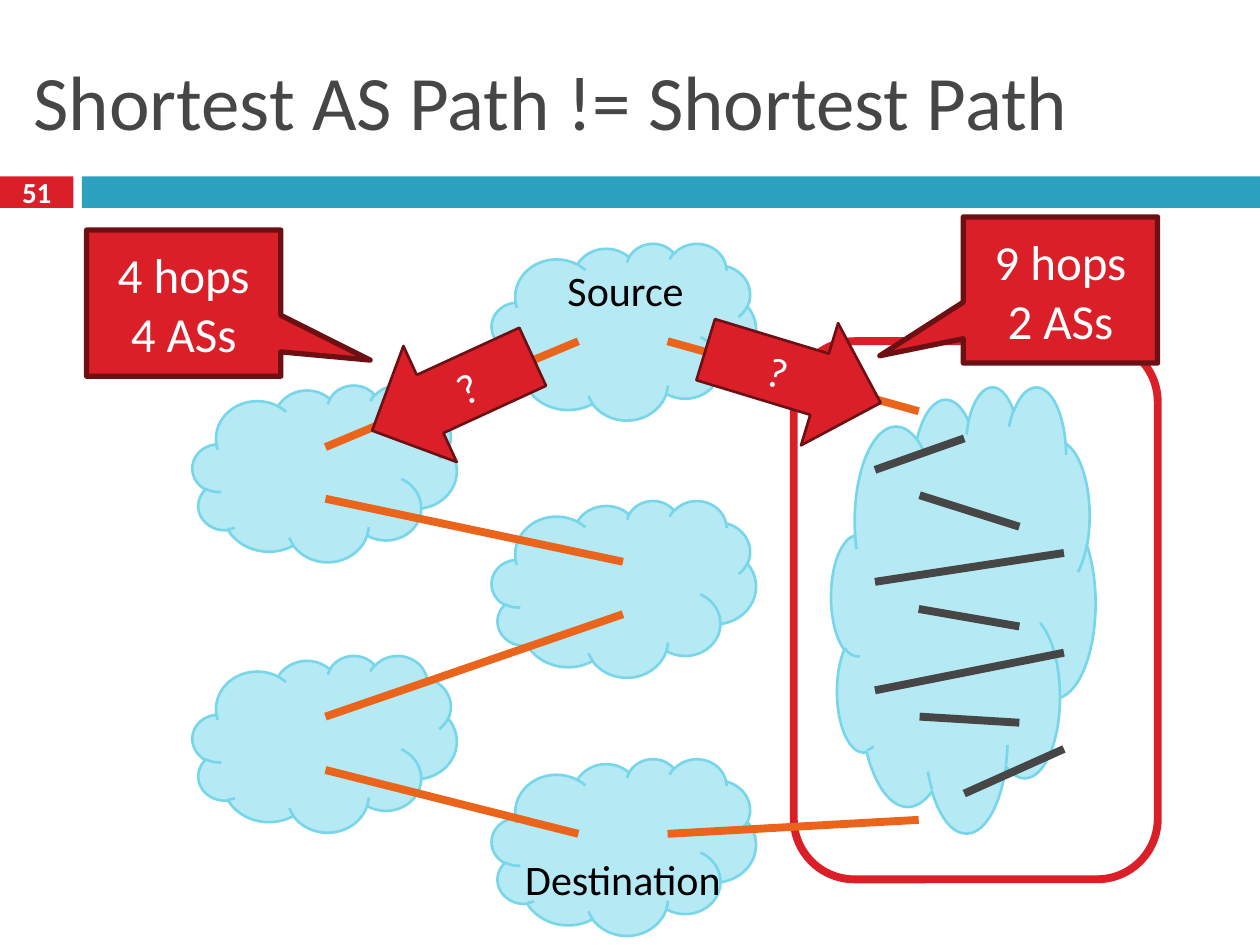
from pptx import Presentation
from pptx.dml.color import RGBColor
from pptx.enum.shapes import MSO_CONNECTOR, MSO_SHAPE
from pptx.enum.text import MSO_ANCHOR, PP_ALIGN
from pptx.oxml.ns import qn
from pptx.util import Pt

RED = RGBColor(0xDA, 0x1F, 0x28)
MAROON = RGBColor(0x6D, 0x10, 0x14)
TEAL = RGBColor(0x2D, 0xA2, 0xBF)
SKY = RGBColor(0xB5, 0xE9, 0xF4)
AQUA = RGBColor(0x78, 0xD6, 0xEA)
ORANGE = RGBColor(0xEB, 0x64, 0x1B)
GRAY = RGBColor(0x46, 0x46, 0x46)
BLACK = RGBColor(0, 0, 0)
WHITE = RGBColor(0xFF, 0xFF, 0xFF)

deck = Presentation()
deck.slide_width, deck.slide_height = Pt(720), Pt(540)
slide = deck.slides.add_slide(deck.slide_layouts[6])
shapes = slide.shapes


def write(shape, text, size=24, color=WHITE, bold=False, align=PP_ALIGN.CENTER,
          anchor=MSO_ANCHOR.MIDDLE, wrap=True):
    frame = shape.text_frame
    frame.text = text
    frame.word_wrap = wrap
    frame.vertical_anchor = anchor
    for para in frame.paragraphs:
        para.alignment = align
        para.font.name = "Calibri"
        para.font.size = Pt(size)
        para.font.bold = bold
        para.font.color.rgb = color


def draw(kind, box, fill=None, line=None, width=1.5):
    shape = shapes.add_shape(kind, *map(Pt, box))
    shape.shadow.inherit = False
    if fill is None:
        shape.fill.background()
    else:
        shape.fill.solid()
        shape.fill.fore_color.rgb = fill
    if line is None:
        shape.line.fill.background()
    else:
        shape.line.color.rgb = line
        shape.line.width = Pt(width)
    return shape


badge = draw(MSO_SHAPE.RECTANGLE, (0, 100.8, 42, 18), RED)
frame = badge.text_frame
frame.margin_top = frame.margin_bottom = 0
write(badge, "51", size=16.6, bold=True)
draw(MSO_SHAPE.RECTANGLE, (46.8, 100.8, 673.2, 18), TEAL)
draw(MSO_SHAPE.ROUNDED_RECTANGLE, (453.6, 195, 208, 307.5), line=RED, width=4.5)

title = shapes.add_textbox(Pt(12), Pt(18), Pt(696), Pt(78))
write(title, "Shortest AS Path != Shortest Path", size=44, color=GRAY,
      align=PP_ALIGN.LEFT)

clouds = [(281, 139, 101), (110, 220, 101), (281, 286, 101),
          (110, 374.5, 101), (281, 433.5, 101), (475, 220.5, 255)]
for left, top, height in clouds:
    draw(MSO_SHAPE.CLOUD, (left, top, 151, height), SKY, AQUA)

links = {
    ORANGE: [(186, 255.5, 330.5, 195), (186, 285, 356, 321),
             (186, 409.5, 356, 351), (330.5, 476.5, 186, 440),
             (525, 235, 381.5, 195), (381.5, 476.5, 525, 468.5)],
    GRAY: [(500, 268.5, 551, 250.5), (525.5, 283, 582.5, 301),
           (500, 332.5, 608, 316), (582.5, 358, 525, 348),
           (608, 373, 500, 394.5), (582.5, 413, 525.5, 409.5),
           (608, 428, 551, 453.5)],
}
for color, ends in links.items():
    for end in ends:
        link = shapes.add_connector(MSO_CONNECTOR.STRAIGHT, *map(Pt, end))
        link.line.color.rgb = color
        link.line.width = Pt(4.5)
        props = link._element.spPr
        props.append(props.makeelement(qn("a:effectLst"), {}))

labels = [("Source", 312, 147.5, 91), ("Destination", 288, 484, 136)]
for text, left, top, width in labels:
    label = shapes.add_textbox(Pt(left), Pt(top), Pt(width), Pt(36))
    write(label, text, color=BLACK, anchor=MSO_ANCHOR.TOP, wrap=False)

arrows = [(MSO_SHAPE.RIGHT_ARROW, (401, 178.5, 104.5, 73), 16.9),
          (MSO_SHAPE.LEFT_ARROW, (208, 188.5, 101, 73), 335.3)]
for kind, box, angle in arrows:
    arrow = draw(kind, box, RED, MAROON)
    arrow.rotation = angle
    write(arrow, "?")

notes = [("4 hops\n4 ASs", 49.5, 131.5, 0.96, 0.39),
         ("9 hops\n2 ASs", 550.5, 124, -0.93, 0.45)]
for text, left, top, tipx, tipy in notes:
    note = draw(MSO_SHAPE.RECTANGULAR_CALLOUT, (left, top, 111, 83.5),
                RED, MAROON, 3)
    note.adjustments[0] = tipx
    note.adjustments[1] = tipy
    write(note, text, size=28)

deck.save("out.pptx")
